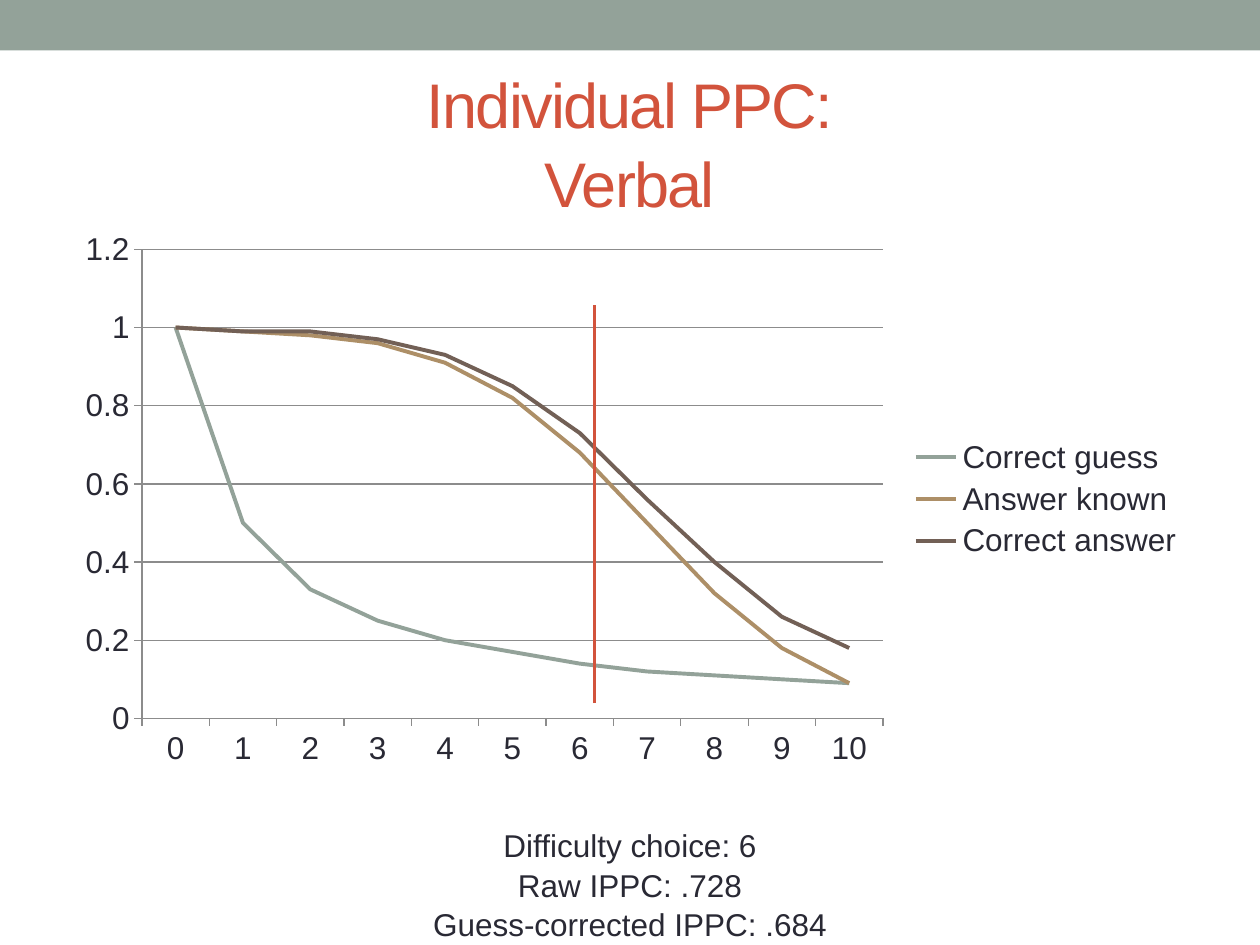
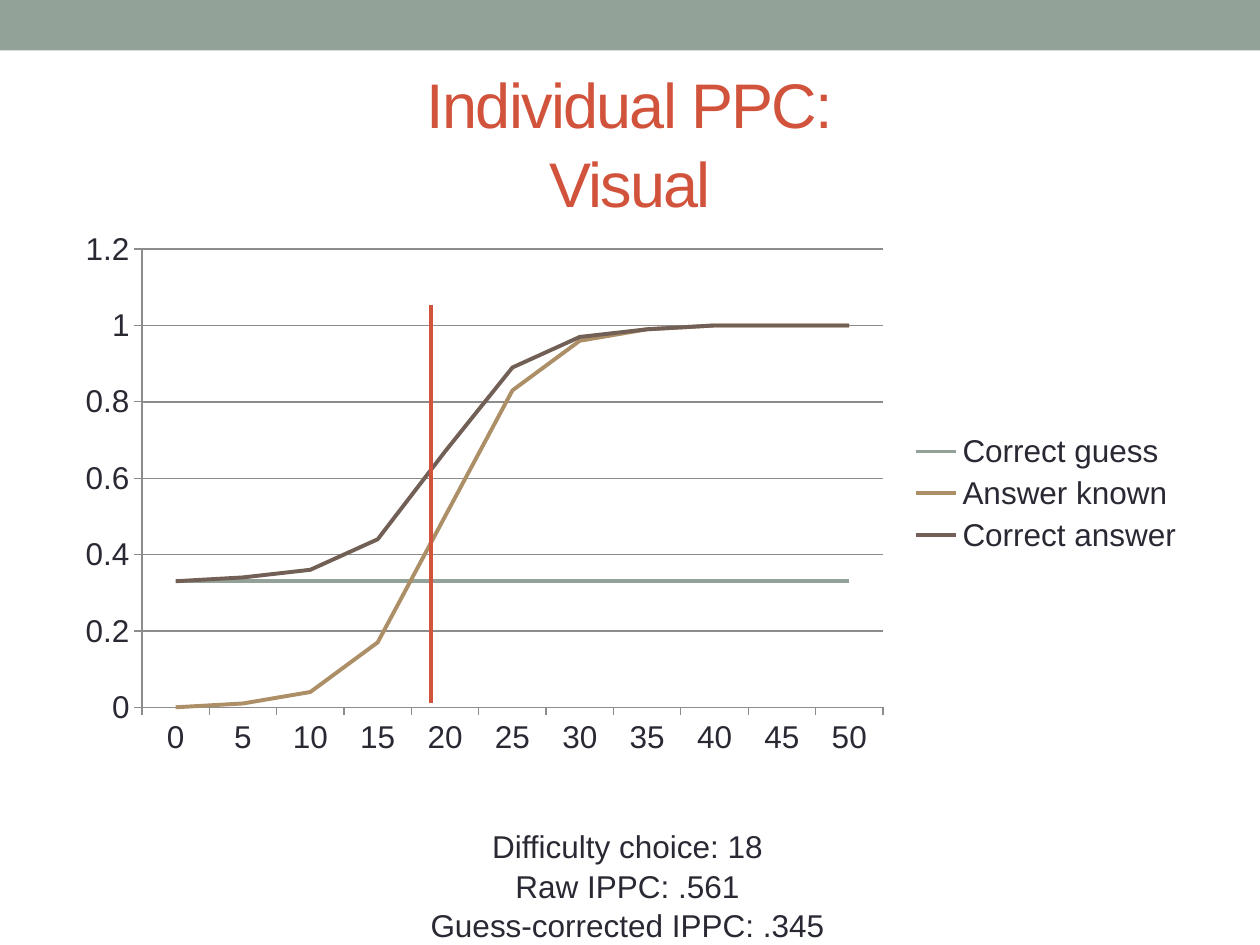
from lxml.etree import SubElement
from pptx import Presentation
from pptx.chart.data import CategoryChartData
from pptx.dml.color import RGBColor
from pptx.enum.chart import XL_CHART_TYPE, XL_LEGEND_POSITION, XL_TICK_MARK
from pptx.enum.shapes import MSO_CONNECTOR, MSO_SHAPE
from pptx.enum.text import MSO_ANCHOR, PP_ALIGN
from pptx.oxml.ns import qn
from pptx.util import Inches, Pt

SAGE = RGBColor(0x93, 0xA2, 0x99)
TAN = RGBColor(0xAD, 0x8F, 0x67)
BROWN = RGBColor(0x72, 0x60, 0x56)
RED = RGBColor(0xD2, 0x53, 0x3C)
INK = RGBColor(0x29, 0x29, 0x34)
GREY = RGBColor(0x8C, 0x8C, 0x8C)

SERIES_COLOURS = {"Correct guess": SAGE, "Answer known": TAN, "Correct answer": BROWN}


class SlideBuilder:
    font = "Arial"
    title_size = Pt(36)
    body_size = Pt(18)
    line_spacing = 1.05

    def __init__(self, deck):
        self.deck = deck
        self.page = None

    def start_page(self):
        self.page = self.deck.slides.add_slide(self.deck.slide_layouts[6])
        band = self.page.shapes.add_shape(
            MSO_SHAPE.RECTANGLE, 0, 0, self.deck.slide_width, Inches(0.4))
        band.shadow.inherit = False
        band.fill.solid()
        band.fill.fore_color.rgb = SAGE
        band.line.fill.background()

    def add_box(self, left, top, width, height, anchor):
        box = self.page.shapes.add_textbox(
            Inches(left), Inches(top), Inches(width), Inches(height))
        box.text_frame.word_wrap = True
        box.text_frame.vertical_anchor = anchor
        return box.text_frame

    def format_para(self, para):
        para.alignment = PP_ALIGN.CENTER
        para.line_spacing = self.line_spacing

    def add_span(self, para, text, size, colour):
        span = para.add_run()
        span.text = text
        span.font.name = self.font
        span.font.size = size
        span.font.color.rgb = colour
        return span

    def add_title(self, lines):
        frame = self.add_box(0.5, 0.58, 9, 1.08, MSO_ANCHOR.MIDDLE)
        para = frame.paragraphs[0]
        self.format_para(para)
        for index, line in enumerate(lines):
            if index:
                para.add_line_break()
            span = self.add_span(para, line, self.title_size, RED)
            span.font._element.set("spc", "-100")

    def add_results(self, results, top, width, height):
        frame = self.add_box(1.29, top, width, height, MSO_ANCHOR.TOP)
        for index, (label, value) in enumerate(results):
            para = frame.add_paragraph() if index else frame.paragraphs[0]
            self.format_para(para)
            self.add_span(para, f"{label}: ", self.body_size, INK)
            self.add_span(para, value, self.body_size, INK)

    def add_curves(self, categories, curves, height):
        data = CategoryChartData()
        data.categories = [str(category) for category in categories]
        for name, values in zip(SERIES_COLOURS, curves):
            data.add_series(name, values)
        chart = self.page.shapes.add_chart(
            XL_CHART_TYPE.LINE, Inches(0.5), Inches(1.75), Inches(9), Inches(height),
            data).chart
        chart.font.name = self.font
        chart.font.size = self.body_size
        chart.font.color.rgb = INK
        chart.has_title = False
        chart.has_legend = True
        chart.legend.position = XL_LEGEND_POSITION.RIGHT
        chart.legend.include_in_layout = False
        chart.plots[0].vary_by_categories = False
        for series in chart.plots[0].series:
            series.smooth = False
            series.format.line.width = Pt(2.25)
            series.format.line.color.rgb = SERIES_COLOURS[series.name]
        self.format_axes(chart)

    def format_axes(self, chart):
        scale = chart.value_axis
        scale.minimum_scale = 0
        scale.maximum_scale = 1.2
        scale.major_unit = 0.2
        scale.has_major_gridlines = True
        for axis in (chart.category_axis, scale):
            axis.major_tick_mark = XL_TICK_MARK.OUTSIDE
            axis.minor_tick_mark = XL_TICK_MARK.NONE
        for part in (chart.category_axis, scale, scale.major_gridlines):
            part.format.line.color.rgb = GREY
            part.format.line.width = Pt(0.75)

    def add_choice_line(self, across):
        line = self.page.shapes.add_connector(
            MSO_CONNECTOR.STRAIGHT, Inches(across), Inches(5.58),
            Inches(across), Inches(2.42))
        line.line.color.rgb = RED
        line.line.width = Pt(2.08)
        SubElement(line._element.spPr, qn("a:effectLst"))


def name_results(*values):
    return zip(("Difficulty choice", "Raw IPPC", "Guess-corrected IPPC"), values)


def main():
    deck = Presentation()
    deck.slide_width = Inches(10)
    deck.slide_height = Inches(7.5)
    builder = SlideBuilder(deck)

    builder.start_page()
    builder.add_title(["Individual PPC:", "Verbal"])
    builder.add_curves(range(11), [
        [1, 0.5, 0.33, 0.25, 0.2, 0.17, 0.14, 0.12, 0.11, 0.1, 0.09],
        [1, 0.99, 0.98, 0.96, 0.91, 0.82, 0.68, 0.5, 0.32, 0.18, 0.09],
        [1, 0.99, 0.99, 0.97, 0.93, 0.85, 0.73, 0.56, 0.4, 0.26, 0.18],
    ], height=4.42)
    builder.add_results(name_results("6", ".728", ".684"), 6.49, 7.42, 1.01)
    builder.add_choice_line(4.72)

    builder.start_page()
    builder.add_title(["Individual PPC:", "Visual"])
    builder.add_curves(range(0, 51, 5), [
        [0.33] * 11,
        [0, 0.01, 0.04, 0.17, 0.5, 0.83, 0.96, 0.99, 1, 1, 1],
        [0.33, 0.34, 0.36, 0.44, 0.67, 0.89, 0.97, 0.99, 1, 1, 1],
    ], height=4.33)
    builder.add_results(name_results("18", ".561", ".345"), 6.5, 7.38, 1.31)
    builder.add_choice_line(3.42)

    deck.save("out.pptx")


if __name__ == "__main__":
    main()
